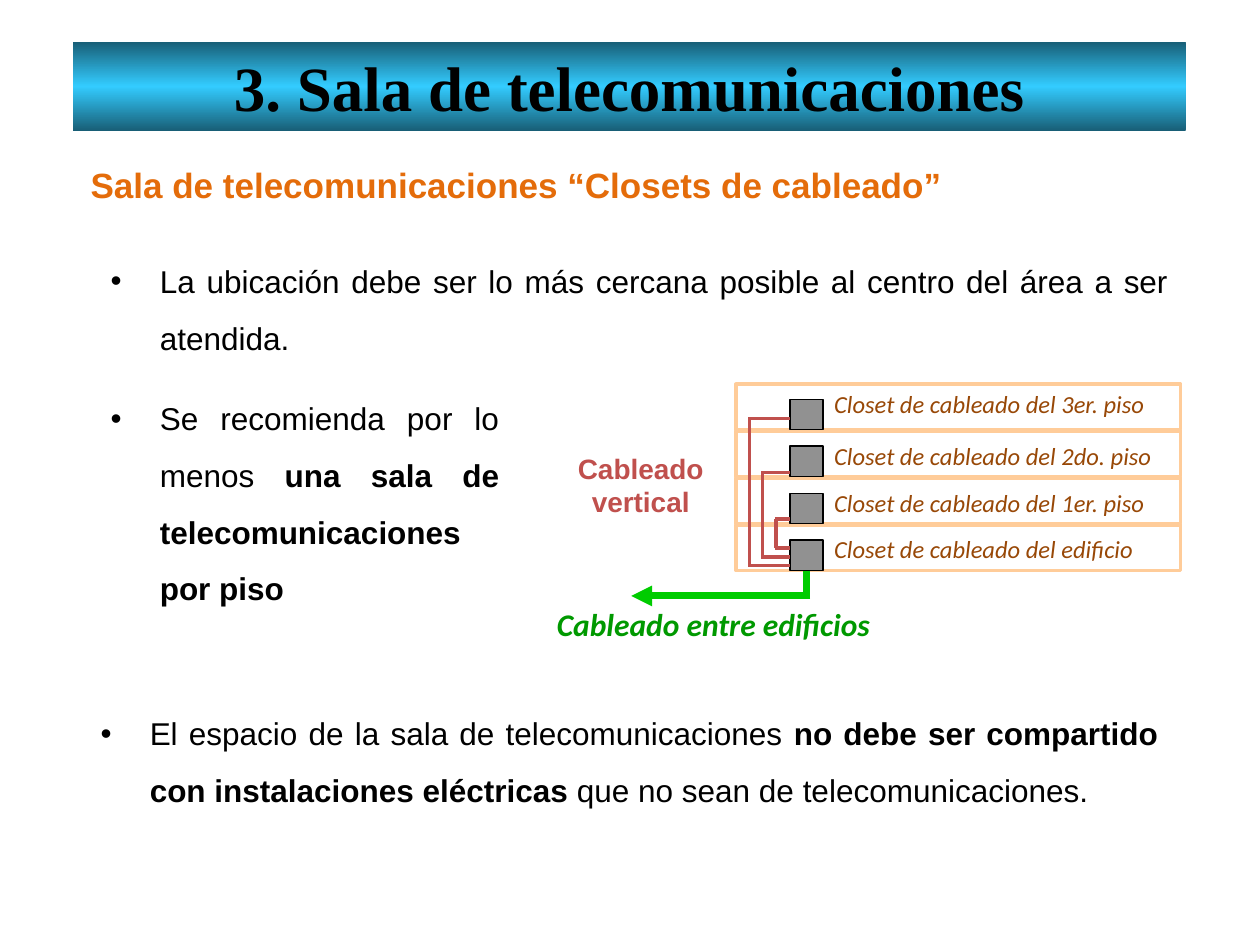
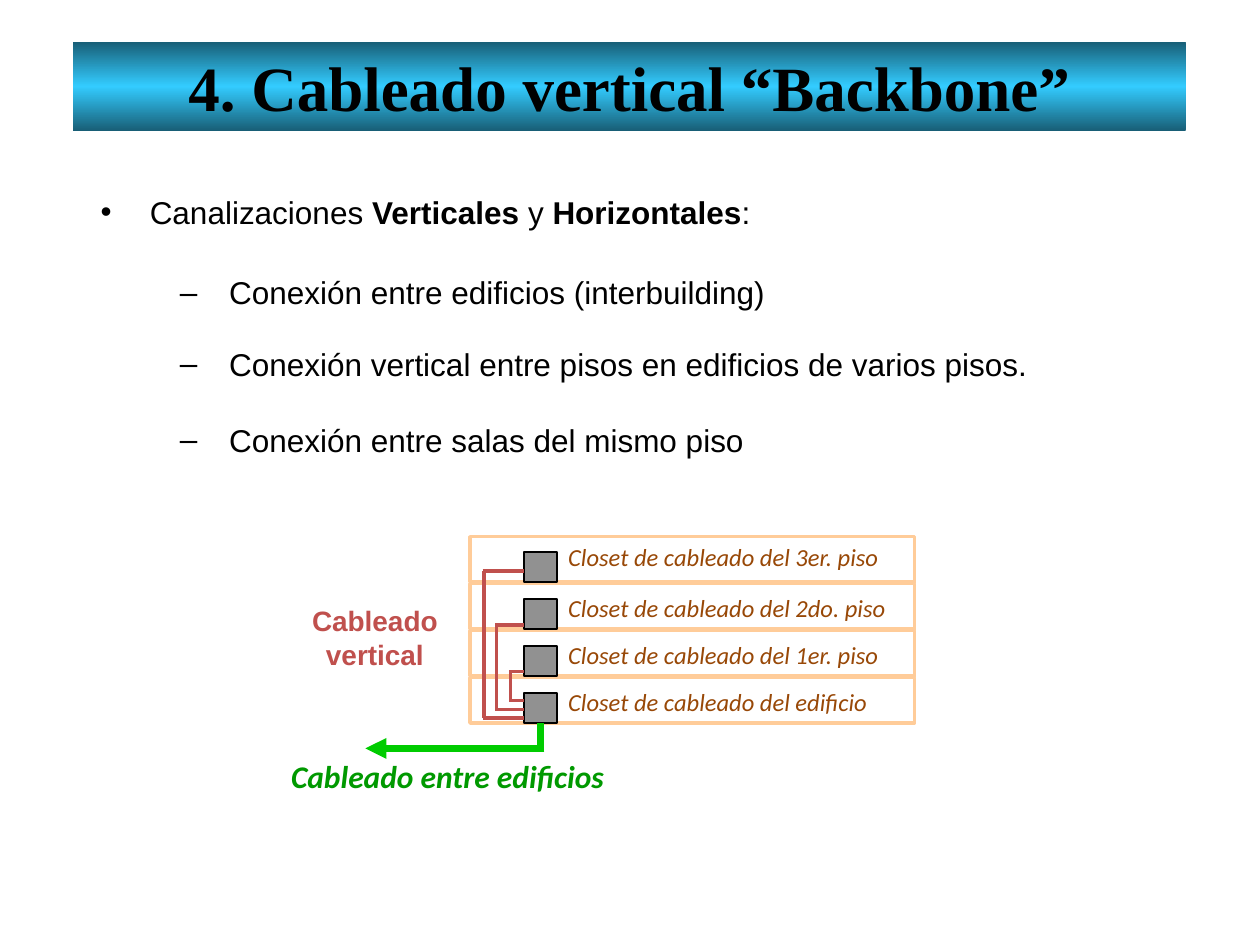
from copy import deepcopy
from dataclasses import dataclass

from lxml import etree
from pptx import Presentation
from pptx.dml.color import RGBColor
from pptx.enum.shapes import MSO_CONNECTOR, MSO_SHAPE
from pptx.enum.text import MSO_ANCHOR, MSO_AUTO_SIZE, PP_ALIGN
from pptx.oxml.ns import qn
from pptx.util import Inches, Pt


@dataclass(frozen=True)
class Theme:
    ink: str = "000000"
    band_edge: str = "185E76"
    band_center: str = "33CCFF"
    subtitle: str = "E46C0A"
    floor: str = "FFCC99"
    closet: str = "919191"
    riser: str = "C0504D"
    closet_label: str = "984807"
    outlet: str = "00CC00"
    outlet_label: str = "009900"
    title_font: str = "Times New Roman"
    body_font: str = "Arial"
    label_font: str = "Calibri"
    title_size: int = 36
    subtitle_size: int = 20
    body_size: int = 18
    riser_size: int = 16
    label_size: int = 14
    line_width: int = 2
    outlet_width: int = 4
    closet_width: int = 1


THEME = Theme()

# Riser diagram, in inches from the top left corner of the building
FLOOR_STEP = 0.373
CLOSET_LEFT = 0.43
FLOORS = (  # label, label top
    ("Closet de cableado del 3er. piso", 0.02),
    ("Closet de cableado del 2do. piso", 0.43),
    ("Closet de cableado del 1er. piso", 0.8),
    ("Closet de cableado del edificio", 1.17),
)
RISERS = ((0.11, 0.27, 1.44), (0.21, 0.7, 1.37), (0.32, 1.07, 1.3))  # x, top, bottom


def color(value):
    return RGBColor.from_string(value)


def format_run(run, size, ink, font=THEME.body_font, bold=False, italic=False):
    run.font.name = font
    run.font.size = Pt(size)
    run.font.color.rgb = color(ink)
    run.font.bold = bold
    run.font.italic = italic


# Text
def add_title(slide, text):
    band = slide.shapes.add_shape(
        MSO_SHAPE.RECTANGLE, Inches(0.58), Inches(0.33), Inches(8.83), Inches(0.71))
    band.shadow.inherit = False
    band.line.fill.background()
    band.fill.gradient()
    band.fill.gradient_angle = 90
    stop_list = band._element.spPr.find(qn("a:gradFill")).find(qn("a:gsLst"))
    stop_list.append(deepcopy(stop_list[-1]))
    stops = ((0, THEME.band_edge), (0.5, THEME.band_center), (1, THEME.band_edge))
    for stop, (position, value) in zip(band.fill.gradient_stops, stops):
        stop.position = position
        stop.color.rgb = color(value)
    frame = band.text_frame
    frame.text = text
    frame.vertical_anchor = MSO_ANCHOR.MIDDLE
    paragraph = frame.paragraphs[0]
    paragraph.alignment = PP_ALIGN.CENTER
    format_run(paragraph.runs[0], THEME.title_size, THEME.ink, THEME.title_font, bold=True)


def add_text_box(shapes, left, top, width, height):
    box = shapes.add_textbox(Inches(left), Inches(top), Inches(width), Inches(height))
    box.text_frame.word_wrap = True
    box.text_frame.auto_size = MSO_AUTO_SIZE.SHAPE_TO_FIT_TEXT
    return box.text_frame


def add_subtitle(slide, text):
    frame = add_text_box(slide.shapes, 0.62, 1.25, 8.75, 0.44)
    frame.text = text
    format_run(frame.paragraphs[0].runs[0], THEME.subtitle_size, THEME.subtitle, bold=True)


def add_bullet(slide, left, top, width, height, parts, mark="•"):
    """Write one bulleted paragraph whose parts alternate between regular and bold."""
    paragraph = add_text_box(slide.shapes, left, top, width, height).paragraphs[0]
    properties = paragraph._p.get_or_add_pPr()
    properties.set("marL", str(Inches(0.39)))
    properties.set("indent", str(-Inches(0.39)))
    etree.SubElement(properties, qn("a:buFont")).set("typeface", THEME.body_font)
    etree.SubElement(properties, qn("a:buChar")).set("char", mark)
    paragraph.alignment = PP_ALIGN.JUSTIFY
    paragraph.line_spacing = 1.5
    for index, part in enumerate(parts):
        run = paragraph.add_run()
        run.text = part
        format_run(run, THEME.body_size, THEME.ink, bold=index % 2 == 1)


def add_label(shapes, left, top, width, height, text, alignment=PP_ALIGN.LEFT, **style):
    frame = add_text_box(shapes, left, top, width, height)
    frame.word_wrap = False
    frame.margin_left = frame.margin_right = Inches(0.05)
    frame.margin_top = frame.margin_bottom = Inches(0.02)
    frame.text = text
    for paragraph in frame.paragraphs:
        paragraph.alignment = alignment
        format_run(paragraph.runs[0], **style)


# Diagram elements
def add_box(shapes, left, top, width, height, line, line_width, fill=None):
    box = shapes.add_shape(
        MSO_SHAPE.RECTANGLE, Inches(left), Inches(top), Inches(width), Inches(height))
    box.shadow.inherit = False
    if fill:
        box.fill.solid()
        box.fill.fore_color.rgb = color(fill)
    else:
        box.fill.background()
    box.line.color.rgb = color(line)
    box.line.width = Pt(line_width)
    return box


def add_line(shapes, start, end, ink, width, arrow=False):
    points = [Inches(value) for value in (*start, *end)]
    connector = shapes.add_connector(MSO_CONNECTOR.STRAIGHT, *points)
    connector.line.color.rgb = color(ink)
    connector.line.width = Pt(width)
    if arrow:
        etree.SubElement(connector.line._get_or_add_ln(), qn("a:tailEnd")).set("type", "triangle")
    etree.SubElement(connector._element.spPr, qn("a:effectLst"))
    return connector


def add_riser_diagram(slide, left, top):
    shapes = slide.shapes.add_group_shape().shapes

    # Floors, with a closet on each
    for index in range(len(FLOORS)):
        add_box(shapes, left, top + index * FLOOR_STEP, 3.53, 0.36,
                THEME.floor, THEME.line_width)
    for index in range(len(FLOORS)):
        closet = add_box(shapes, left + CLOSET_LEFT, top + 0.12 + index * FLOOR_STEP,
                         0.26, 0.24, THEME.ink, THEME.closet_width, THEME.closet)

    # Vertical cabling from each floor to the building closet
    for x, upper, lower in RISERS:
        add_line(shapes, (left + x, top + upper), (left + x, top + lower),
                 THEME.riser, THEME.line_width)
        for y in (upper, lower):
            add_line(shapes, (left + x - 0.01, top + y), (left + CLOSET_LEFT, top + y),
                     THEME.riser, THEME.line_width)

    # Labels
    for text, label_top in FLOORS:
        add_label(shapes, left + 0.73, top + label_top, 2.67, 0.28, text,
                  size=THEME.label_size, ink=THEME.closet_label,
                  font=THEME.label_font, italic=True)
    add_label(shapes, left - 1.31, top + 0.51, 1.11, 0.58, "Cableado\nvertical",
              PP_ALIGN.CENTER, size=THEME.riser_size, ink=THEME.riser, bold=True)
    add_label(shapes, left - 1.47, top + 1.73, 2.71, 0.35, "Cableado entre edificios",
              size=THEME.body_size, ink=THEME.outlet_label,
              font=THEME.label_font, bold=True, italic=True)

    # Outlet from the building closet to other buildings
    outlet = add_line(shapes, (left + 0.56, top + 1.48), (left + 0.56, top + 1.69),
                      THEME.outlet, THEME.outlet_width)
    outlet.begin_connect(closet, 2)
    add_line(shapes, (left + 0.59, top + 1.68), (left - 0.83, top + 1.68),
             THEME.outlet, THEME.outlet_width, arrow=True)


# Slides
def add_slide(presentation, title):
    slide = presentation.slides.add_slide(presentation.slide_layouts[6])
    add_title(slide, title)
    return slide


def build_telecom_room(presentation):
    slide = add_slide(presentation, "3. Sala de telecomunicaciones")
    add_subtitle(slide, "Sala de telecomunicaciones “Closets de cableado”")
    add_bullet(slide, 0.78, 1.88, 8.59, 1.05, (
        "La ubicación debe ser lo más cercana posible al centro del área a ser atendida.",))
    add_bullet(slide, 0.78, 2.97, 3.28, 1.92, (
        "Se recomienda por lo menos ", "una sala de telecomunicaciones por piso"))
    add_bullet(slide, 0.7, 5.47, 8.59, 1.01, (
        "El espacio de la sala de telecomunicaciones ",
        "no debe ser compartido con instalaciones eléctricas",
        " que no sean de telecomunicaciones."))
    add_riser_diagram(slide, 5.84, 3.05)


def build_backbone(presentation):
    slide = add_slide(presentation, "4. Cableado vertical “Backbone”")
    add_bullet(slide, 0.7, 1.33, 8.75, 0.56, (
        "Canalizaciones ", "Verticales", " y ", "Horizontales", ":"))
    connections = (
        (1.97, "Conexión entre edificios (interbuilding)"),
        (2.54, "Conexión vertical entre pisos en edificios de varios pisos."),
        (3.14, "Conexión entre salas del mismo piso"),
    )
    for top, text in connections:
        add_bullet(slide, 1.33, top, 7.97, 0.56, (text,), mark="–")
    add_riser_diagram(slide, 3.73, 4.26)


def main():
    presentation = Presentation()
    presentation.slide_width = Inches(10)
    presentation.slide_height = Inches(7.5)
    build_telecom_room(presentation)
    build_backbone(presentation)
    presentation.save("out.pptx")


if __name__ == "__main__":
    main()
